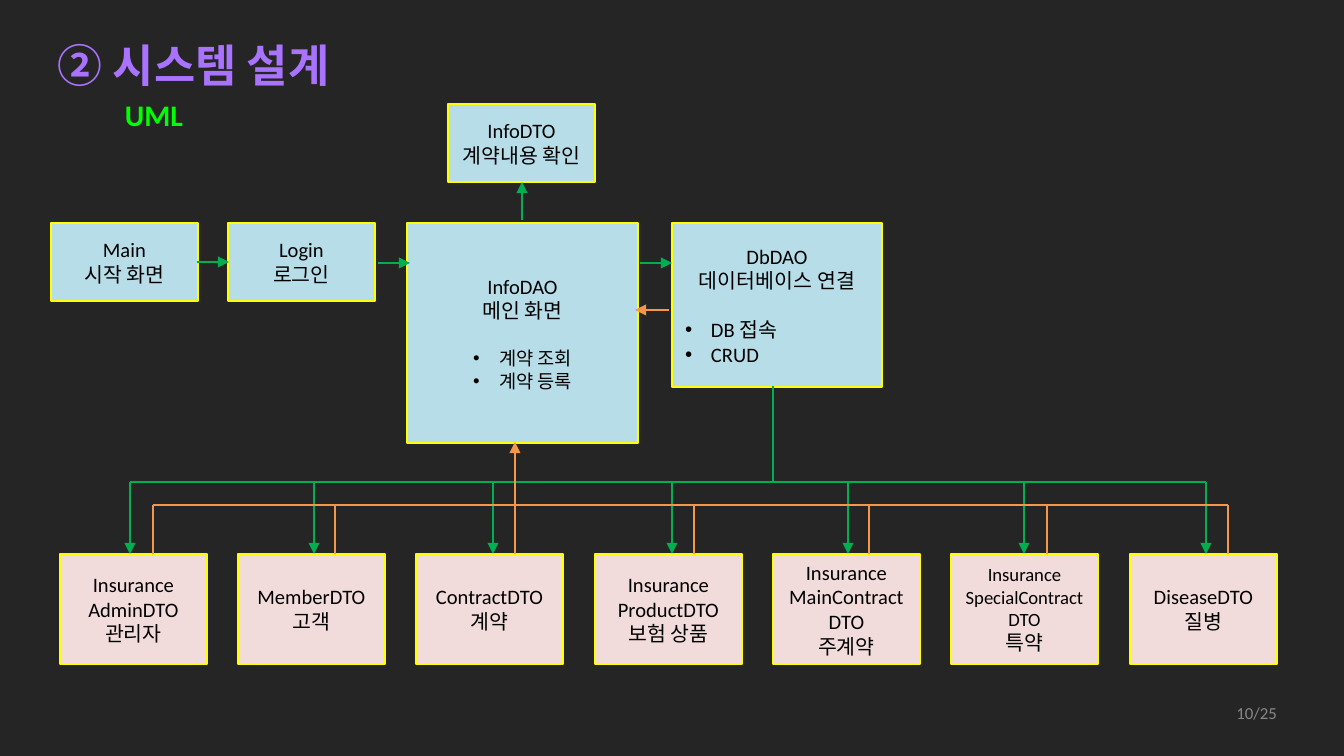
import pptx
import pptx.util
import pptx.dml.color
import pptx.enum.shapes
import pptx.enum.text
import pptx.oxml.ns
import lxml.etree

PX = 914400 / 134.4
DARK = pptx.dml.color.RGBColor(0x25, 0x25, 0x25)
PURPLE = pptx.dml.color.RGBColor(0xA9, 0x73, 0xFF)
LIME = pptx.dml.color.RGBColor(0x00, 0xFF, 0x00)
BLUE = pptx.dml.color.RGBColor(0xB7, 0xDE, 0xE8)
PINK = pptx.dml.color.RGBColor(0xF2, 0xDC, 0xDB)
YELLOW = pptx.dml.color.RGBColor(0xFF, 0xFF, 0x00)
GREEN = pptx.dml.color.RGBColor(0x00, 0xB0, 0x50)
ORANGE = pptx.dml.color.RGBColor(0xF7, 0x96, 0x46)
GRAY = pptx.dml.color.RGBColor(0x88, 0x88, 0x88)
BLACK = pptx.dml.color.RGBColor(0x00, 0x00, 0x00)
ALIGN = pptx.enum.text.PP_ALIGN
ANCHOR = pptx.enum.text.MSO_ANCHOR
qn = pptx.oxml.ns.qn


def write(frame, text, size=11, color=BLACK, bold=False, align=ALIGN.CENTER,
          spacing=1.0, before=0, left=0, bullet=False):
    para = frame.add_paragraph() if frame.text else frame.paragraphs[0]
    para.alignment = align
    para.line_spacing = spacing
    para.space_before = pptx.util.Pt(before)
    span = para.add_run()
    span.text = text
    span.font.name = "Calibri"
    span.font.size = pptx.util.Pt(size)
    span.font.bold = bold
    span.font.color.rgb = color
    properties = para._p.get_or_add_pPr()
    properties.set("marL", str(round(left * PX)))
    properties.set("indent", str(round(-left * PX)) if bullet else "0")
    if bullet:
        font = lxml.etree.SubElement(properties, qn("a:buFont"))
        font.set("typeface", "Arial")
        lxml.etree.SubElement(properties, qn("a:buChar")).set("char", "•")


def connect(x1, y1, x2, y2, color, arrow=False):
    ends = [round(value * PX) for value in (x1, y1, x2, y2)]
    line = page.shapes.add_connector(pptx.enum.shapes.MSO_CONNECTOR.STRAIGHT, *ends)
    line.line.color.rgb = color
    line.line.width = pptx.util.Pt(1.5)
    if arrow:
        outline = line.line._get_or_add_ln()
        lxml.etree.SubElement(outline, qn("a:tailEnd")).set("type", "triangle")
    lxml.etree.SubElement(line._element.spPr, qn("a:effectLst"))


deck = pptx.Presentation()
deck.slide_width = round(1344 * PX)
deck.slide_height = round(756 * PX)
page = deck.slides.add_slide(deck.slide_layouts[5])
page.background.fill.solid()
page.background.fill.fore_color.rgb = DARK

title = page.shapes.title
title.left, title.top, title.width, title.height = [
    round(value * PX) for value in (51, 27, 503, 110)]
frame = title.text_frame
frame.word_wrap = True
frame.vertical_anchor = ANCHOR.TOP
frame.auto_size = pptx.enum.text.MSO_AUTO_SIZE.NONE
frame.margin_left = frame.margin_right = round(7 * PX)
frame.margin_top = frame.margin_bottom = round(3 * PX)
write(frame, "② 시스템 설계", size=24, color=PURPLE, bold=True,
      align=ALIGN.LEFT, spacing=1.15)
write(frame, "UML", size=16, color=LIME, bold=True,
      align=ALIGN.LEFT, spacing=1.15, left=67)

listed = {"left": 26, "bullet": True}
info_item = {"size": 10, **listed}
database_item = {"align": ALIGN.LEFT, **listed}
small = {"size": 10}
boxes = [
    (51, 223, 147, 78, BLUE, [("Main", {}), ("시작 화면", {})]),
    (228, 223, 147, 78, BLUE, [("Login", {}), ("로그인", {})]),
    (448, 104, 147, 78, BLUE, [("InfoDTO", {}), ("계약내용 확인", {})]),
    (407, 223, 231, 220, BLUE, [
        ("InfoDAO", {}), ("메인 화면", {}),
        ("계약 조회", {"before": 13, **info_item}), ("계약 등록", info_item)]),
    (672, 223, 210, 164, BLUE, [
        ("DbDAO", {}), ("데이터베이스 연결", {}),
        ("DB 접속", {"before": 13, **database_item}), ("CRUD", database_item)]),
]
records = [
    [("Insurance", {}), ("AdminDTO", {}), ("관리자", {})],
    [("MemberDTO", {}), ("고객", {})],
    [("ContractDTO", {}), ("계약", {})],
    [("Insurance", {}), ("ProductDTO", {}), ("보험 상품", {})],
    [("Insurance", {}), ("MainContractDTO", {}), ("주계약", {})],
    [("Insurance", small), ("SpecialContract", small), ("DTO", small), ("특약", {})],
    [("DiseaseDTO", {}), ("질병", {})],
]
for index, lines in enumerate(records):
    boxes.append((60 + index * 1070 // 6, 554, 147, 110, PINK, lines))

for left, top, width, height, fill, lines in boxes:
    box = page.shapes.add_shape(
        pptx.enum.shapes.MSO_SHAPE.RECTANGLE,
        *[round(value * PX) for value in (left, top, width, height)])
    box.shadow.inherit = False
    box.fill.solid()
    box.fill.fore_color.rgb = fill
    box.line.color.rgb = YELLOW
    box.line.width = pptx.util.Pt(0.75)
    frame = box.text_frame
    frame.word_wrap = True
    frame.vertical_anchor = ANCHOR.MIDDLE
    frame.margin_left = frame.margin_right = round(13 * PX)
    frame.margin_top = frame.margin_bottom = round(13 * PX)
    for text, style in lines:
        write(frame, text, **style)

for x, y in ((197, 262), (378, 263), (640, 263)):
    connect(x, y, x + 32, y, GREEN, arrow=True)
connect(522, 220, 522, 182, GREEN, arrow=True)
connect(669, 310, 635, 310, ORANGE, arrow=True)

connect(773, 386, 773, 482, GREEN)
connect(1206, 482, 130, 482, GREEN)
for x in (130, 314, 493, 672, 848, 1024, 1206):
    connect(x, 482, x, 554, GREEN, arrow=True)

connect(1228, 505, 153, 505, ORANGE)
for x in (153, 335, 694, 869, 1047, 1228):
    connect(x, 505, x, 554, ORANGE)
connect(515, 554, 515, 442, ORANGE, arrow=True)

number = page.shapes.add_textbox(
    *[round(value * PX) for value in (968, 703, 309, 20)])
frame = number.text_frame
frame.word_wrap = True
frame.margin_left = frame.margin_right = frame.margin_top = frame.margin_bottom = 0
write(frame, "10/25", size=9, color=GRAY, align=ALIGN.RIGHT)

deck.save("out.pptx")
